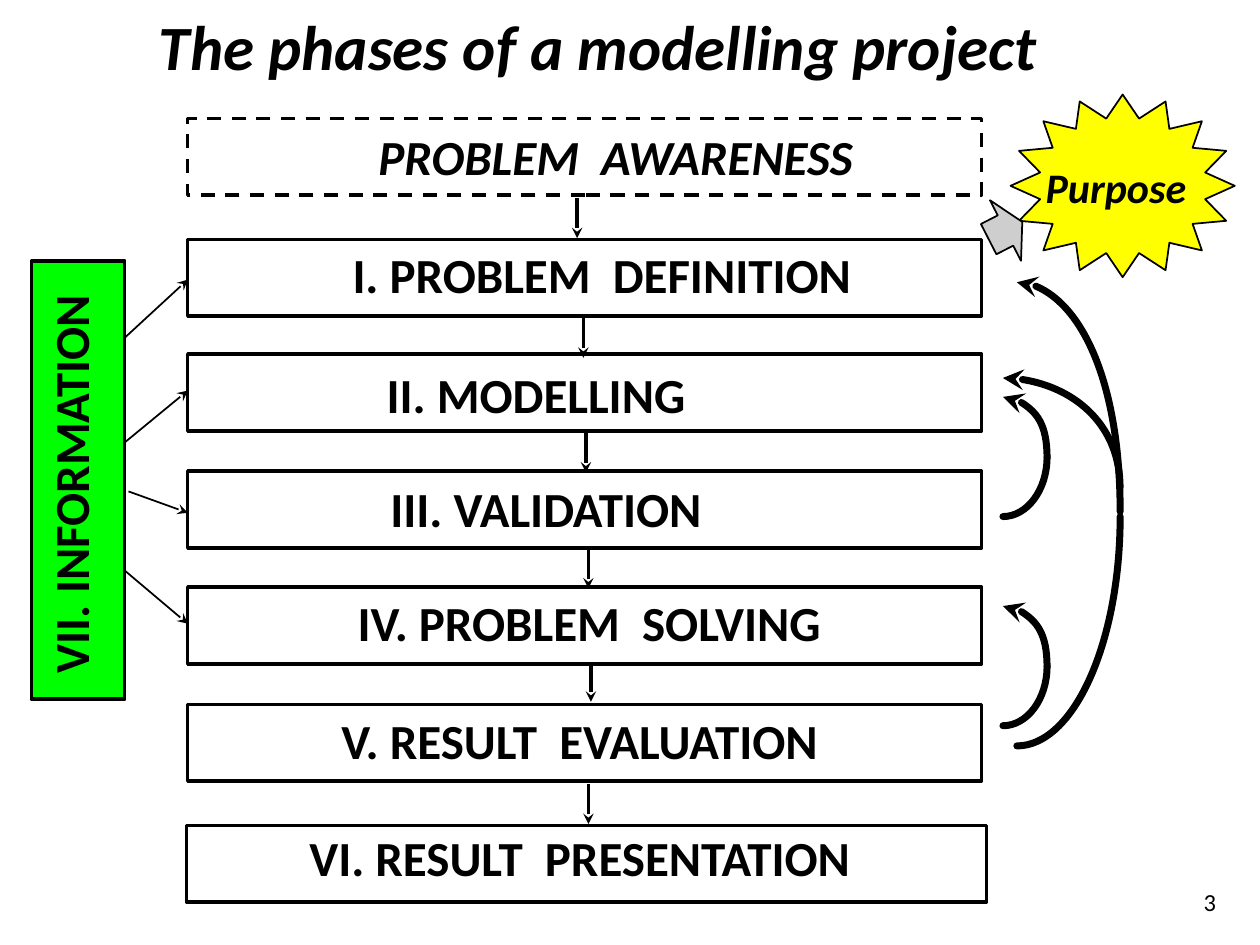
from lxml import etree
from pptx import Presentation
from pptx import util as u
from pptx.dml.color import RGBColor
from pptx.enum import dml, shapes, text
from pptx.oxml import ns

BLACK = RGBColor(0, 0, 0)
YELLOW = RGBColor(255, 255, 0)
GREEN = RGBColor(0, 255, 0)
GREY = RGBColor(0xCE, 0xCE, 0xCE)
KIND = shapes.MSO_SHAPE
ALIGN = text.PP_ALIGN

deck = Presentation()
deck.slide_width, deck.slide_height = u.Inches(10), u.Inches(7.5)
CELL = deck.slide_width / 100
page = deck.slides.add_slide(deck.slide_layouts[5])


def grid(*cells):
    return [u.Emu(round(cell * CELL)) for cell in cells]


def write(box, words, size=28, align=ALIGN.CENTER, spacing=1.0, italic=False):
    frame = box.text_frame
    frame.word_wrap = True
    frame.auto_size = text.MSO_AUTO_SIZE.NONE
    frame.vertical_anchor = text.MSO_ANCHOR.TOP
    para = frame.paragraphs[0]
    para.alignment, para.line_spacing = align, spacing
    span = para.add_run()
    span.text = words
    font = span.font
    font.name, font.size, font.bold, font.italic = "Calibri", u.Pt(size), True, italic
    font.color.rgb = BLACK
    return span


title = page.shapes.title
title.left, title.top, title.width, title.height = grid(8.3, 0.8, 78.3, 5.8)
write(title, "The phases of a modelling project", 36, spacing=0.9, italic=True)

BOX_LEFT, BOX_WIDTH, BOX_HEIGHT = 14.9, 63, 6.1
phase_tops = [9.4, 19, 28.1, 37.4, 46.6, 55.9]
outlines = [(KIND.RECTANGLE, (BOX_LEFT, top, BOX_WIDTH, BOX_HEIGHT), None, 2)
            for top in phase_tops]
outlines += [
    (KIND.RECTANGLE, (14.8, 65.5, 63.5, BOX_HEIGHT), None, 2),
    (KIND.RECTANGLE, (2.5, 20.7, 7.4, 34.8), GREEN, 2),
    (KIND.STAR_16_POINT, (80.2, 7.5, 17.8, 14.5), YELLOW, 1),
    (KIND.RIGHT_ARROW, (78.3, 15.6, 3, 5.4), GREY, 1),
]
for kind, place, fill, weight in outlines:
    shape = page.shapes.add_shape(kind, *grid(*place))
    shape.shadow.inherit = False
    shape.line.color.rgb, shape.line.width = BLACK, u.Pt(weight)
    if fill is None:
        shape.fill.background()
    else:
        shape.fill.solid()
        shape.fill.fore_color.rgb = fill
    if place[1] == phase_tops[0]:
        shape.line.dash_style = dml.MSO_LINE.DASH
    if kind == KIND.RIGHT_ARROW:
        shape.rotation = 332.9

information_links = [
    (9.8, 26.9, 14.9, 22.2), (9.8, 35.2, 14.9, 31),
    (10.2, 39, 14.9, 40.7), (9.8, 45.2, 14.9, 49.5),
]
phase_links = [(x, top, x, top + 3.2) for x, top in [
    (45.8, 15.7), (46.3, 25.2), (46.5, 34.3), (46.7, 43.5), (46.9, 52.5), (46.7, 62.2)]]
for weight, links in [(1, information_links), (2, phase_links)]:
    for link in links:
        arrow = page.shapes.add_connector(shapes.MSO_CONNECTOR.STRAIGHT, *grid(*link))
        arrow.line.color.rgb, arrow.line.width = BLACK, u.Pt(weight)
        props = arrow.element.spPr
        etree.SubElement(props.find(ns.qn("a:ln")), ns.qn("a:tailEnd"), type="stealth")
        etree.SubElement(props, ns.qn("a:effectLst"))

BEND = 0.55
feedback_curves = [
    (80.7, 22.4, 88.9, 40.6, True), (80.7, 59.2, 88.9, 41, False),
    (79.6, 31.5, 83.1, 36.3, True), (79.6, 41, 83.1, 36.3, False),
    (79.6, 48.1, 83.1, 52.9, True), (79.6, 57.6, 83.1, 52.9, False),
    (79.6, 30, 88.9, 38.7, True),
]
for left, start, right, end, pointed in feedback_curves:
    builder = page.shapes.build_freeform(*grid(left, start))
    builder.add_line_segments([
        grid(left + BEND * (right - left), start),
        grid(right, end - BEND * (end - start)),
        grid(right, end)], close=False)
    curve = builder.convert_to_shape()
    curve.shadow.inherit = False
    curve.fill.background()
    curve.line.color.rgb, curve.line.width = BLACK, u.Pt(4)
    props = curve.element.spPr
    outline = props.find(ns.qn("a:ln"))
    outline.set("cap", "rnd")
    if pointed:
        etree.SubElement(outline, ns.qn("a:headEnd"), type="stealth")
    segments = list(props.iter(ns.qn("a:lnTo")))
    bezier = etree.SubElement(segments[0].getparent(), ns.qn("a:cubicBezTo"))
    for segment in segments:
        bezier.append(segment[0])
        segment.getparent().remove(segment)

labels = [
    ("PROBLEM  AWARENESS", (22.7, 10.1, 52.3, 5.2), 28, ALIGN.CENTER, 0.9, True),
    ("I. PROBLEM  DEFINITION", (16.8, 19.4, 61.9, 5.2), 28, ALIGN.CENTER, 0.9, False),
    ("II. MODELLING", (29.7, 28.4, 34, 5.7), 28, ALIGN.JUSTIFY, 1.0, False),
    ("III. VALIDATION", (30, 37.5, 34, 5.7), 28, ALIGN.JUSTIFY, 1.0, False),
    ("IV. PROBLEM  SOLVING", (19.3, 46.5, 54.9, 5.7), 28, ALIGN.CENTER, 1.0, False),
    ("V. RESULT  EVALUATION", (19.4, 55.9, 53.2, 5.7), 28, ALIGN.CENTER, 1.0, False),
    ("VI. RESULT  PRESENTATION", (15.9, 65.2, 60.2, 5.7), 28, ALIGN.CENTER, 1.0, False),
    ("Purpose", (82, 12.3, 17, 5.1), 24, ALIGN.LEFT, 1.0, True),
]
for words, place, *style in labels:
    write(page.shapes.add_textbox(*grid(*place)), words, *style)

information = page.shapes.add_textbox(*grid(-10.7, 35.1, 32.7, 5.9))
information.rotation = 270
write(information, "VII. INFORMATION", align=ALIGN.LEFT)

number = page.shapes.add_textbox(*grid(94.4, 69, 3.1, 5.2))
write(number, "3", 14, ALIGN.RIGHT).font.bold = False
number.text_frame.word_wrap = False
number.text_frame.vertical_anchor = text.MSO_ANCHOR.MIDDLE

deck.save("out.pptx")
